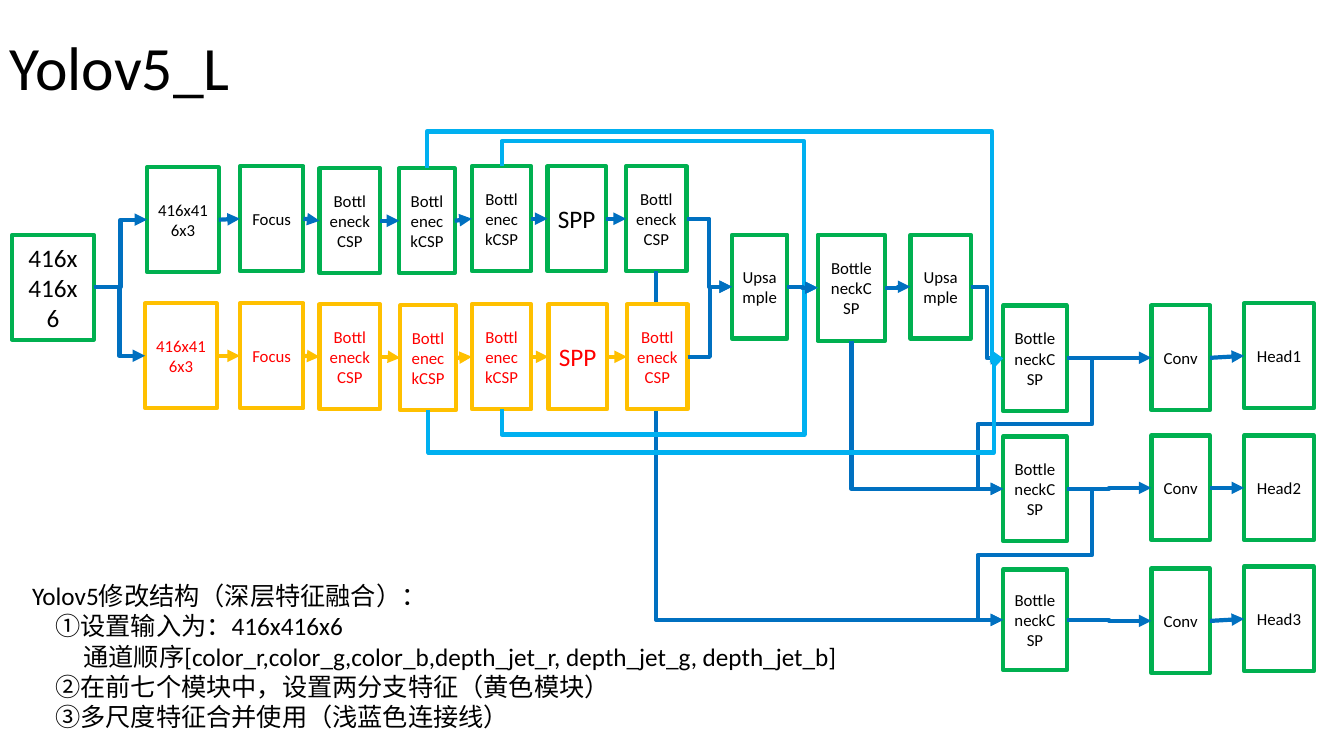
"""Build the Yolov5_L two-branch network diagram slide."""
import pptx
import pptx.util
import pptx.dml.color
import pptx.enum.shapes
import pptx.enum.text
import pptx.oxml.ns
import lxml.etree

PX = 9144
RGBColor = pptx.dml.color.RGBColor
BLACK = RGBColor(0x00, 0x00, 0x00)
WHITE = RGBColor(0xFF, 0xFF, 0xFF)
RED = RGBColor(0xFF, 0x00, 0x00)
GREEN = RGBColor(0x00, 0xB0, 0x50)
YELLOW = RGBColor(0xFF, 0xC0, 0x00)
BLUE = RGBColor(0x00, 0x70, 0xC0)
SKY = RGBColor(0x00, 0xB0, 0xF0)
TOP, LEFT, BOTTOM, RIGHT = range(4)
STRAIGHT, ELBOW2, ELBOW3, ELBOW4, ELBOW5 = (
    "straightConnector1", "bentConnector2", "bentConnector3", "bentConnector4", "bentConnector5")
DOWNWARD = {"rot": "16200000", "flipH": "1", "flipV": "0"}
UPWARD = {"rot": "5400000", "flipH": "1", "flipV": "1"}
LINE_WIDTH = pptx.util.Pt(3)
MIDDLE = pptx.enum.text.MSO_ANCHOR.MIDDLE

deck = pptx.Presentation()
deck.slide_width, deck.slide_height = 1333 * PX, 750 * PX
page = deck.slides.add_slide(deck.slide_layouts[6])
boxes = {}


def add_box(name, text, place, size, line_color=GREEN, text_color=BLACK):
    box = page.shapes.add_shape(
        pptx.enum.shapes.MSO_SHAPE.RECTANGLE, *[length * PX for length in place])
    box.shadow.inherit = False
    box.fill.solid()
    box.fill.fore_color.rgb = WHITE
    box.line.color.rgb = line_color
    box.line.width = LINE_WIDTH
    box.text_frame.word_wrap = True
    box.text_frame.vertical_anchor = MIDDLE
    para = box.text_frame.paragraphs[0]
    para.alignment = pptx.enum.text.PP_ALIGN.CENTER
    span = para.add_run()
    span.text = text
    for key, value in {"name": "Calibri", "size": pptx.util.Pt(size)}.items():
        setattr(span.font, key, value)
    span.font.color.rgb = text_color
    boxes[name] = box


def add_link(start, end, preset=ELBOW3, color=BLUE, site=RIGHT, turn=None, adjusts=()):
    link = page.shapes.add_connector(pptx.enum.shapes.MSO_CONNECTOR.ELBOW, 0, 0, 0, 0)
    link.begin_connect(boxes[start], site)
    link.end_connect(boxes[end], LEFT)
    link.line.color.rgb = color
    link.line.width = LINE_WIDTH
    properties = link._element.spPr
    if turn:
        center_x = link.left + link.width // 2
        center_y = link.top + link.height // 2
        width, height = link.height, link.width
        frame = {"left": center_x - width // 2, "top": center_y - height // 2,
                 "width": width, "height": height}
        for key, value in frame.items():
            setattr(link, key, value)
        for key, value in turn.items():
            properties.find(pptx.oxml.ns.qn("a:xfrm")).set(key, value)
    geometry = properties.find(pptx.oxml.ns.qn("a:prstGeom"))
    geometry.set("prst", preset)
    guides = geometry.find(pptx.oxml.ns.qn("a:avLst"))
    for number, adjust in enumerate(adjusts, 1):
        lxml.etree.SubElement(guides, pptx.oxml.ns.qn("a:gd"),
                              name=f"adj{number}", fmla=f"val {adjust}")
    outline = properties.find(pptx.oxml.ns.qn("a:ln"))
    lxml.etree.SubElement(outline, pptx.oxml.ns.qn("a:tailEnd"), type="triangle")
    lxml.etree.SubElement(properties, pptx.oxml.ns.qn("a:effectLst"))


title = page.shapes.add_textbox(0, -3 * PX, 1150 * PX, 145 * PX)
for key, value in {"word_wrap": True, "vertical_anchor": MIDDLE}.items():
    setattr(title.text_frame, key, value)
para = title.text_frame.paragraphs[0]
para.line_spacing = 0.9
span = para.add_run()
span.text = "Yolov5_L"
for key, value in {"name": "Calibri", "size": pptx.util.Pt(44)}.items():
    setattr(span.font, key, value)
span.font.color.rgb = BLACK

BRANCH = [
    ("416x416x3", 12, 71, (146, 166), (144, 301)),
    ("Focus", 12, 63, (238, 165), (238, 301)),
    ("BottleneckCSP", 12, 60, (317, 167), (317, 302)),
    ("BottleneckCSP", 12, 55, (396, 167), (397, 303)),
    ("BottleneckCSP", 12, 59, (468, 165), (468, 302)),
    ("SPP", 18, 58, (543, 165), (544, 302)),
    ("BottleneckCSP", 12, 60, (621, 165), (622, 302)),
]
LAST = len(BRANCH) - 1

add_box("input", "416x416x6", (12, 233, 81, 104), 18)
for column, (text, size, width, color_at, depth_at) in enumerate(BRANCH):
    add_box(f"color{column}", text, (*color_at, width, 104), size)
add_box("upsample1", "Upsample", (726, 233, 55, 103), 12)
add_box("merge", "BottleneckCSP", (811, 233, 67, 105), 12)
add_box("upsample2", "Upsample", (903, 233, 60, 103), 12)
HEADS = [(303, 105, 303, 301), (433, 104, 432, 432), (565, 100, 564, 562)]
for number, (neck_top, neck_height, conv_top, head_top) in enumerate(HEADS, 1):
    add_box(f"neck{number}", "BottleneckCSP", (995, neck_top, 63, neck_height), 12)
    add_box(f"conv{number}", "Conv", (1142, conv_top, 58, 104), 12)
    add_box(f"head{number}", f"Head{number}", (1234, head_top, 69, 104), 12)

add_link(f"color{LAST}", "neck3", ELBOW2, site=BOTTOM, turn=DOWNWARD)
for column, (text, size, width, color_at, depth_at) in enumerate(BRANCH):
    add_box(f"depth{column}", text, (*depth_at, width, 104), size, YELLOW, RED)

for branch, color in [("color", BLUE), ("depth", YELLOW)]:
    add_link("input", f"{branch}0")
    for column in range(LAST):
        preset = ELBOW3 if column == 2 else STRAIGHT
        add_link(f"{branch}{column}", f"{branch}{column + 1}", preset, color)
    add_link(f"{branch}{LAST}", "upsample1")
add_link("merge", "upsample2")
add_link("upsample2", "neck1")
add_link("merge", "neck2", ELBOW2, site=BOTTOM, turn=DOWNWARD)
for number in range(1, 4):
    add_link(f"neck{number}", f"conv{number}")
    add_link(f"conv{number}", f"head{number}", STRAIGHT)
for number in range(1, 3):
    add_link(f"neck{number}", f"neck{number + 1}", ELBOW5, adjusts=(-40000, 50400, 140000))

SKIPS = [
    ("color4", "merge", TOP, DOWNWARD, (-20700, 95700)),
    ("depth4", "merge", BOTTOM, UPWARD, (-20900, 95800)),
    ("depth3", "neck1", BOTTOM, UPWARD, (-81400, 98400)),
    ("color3", "neck1", TOP, DOWNWARD, (-19400, 98100)),
]
for start, end, site, turn, adjusts in SKIPS:
    add_link(start, end, ELBOW4, SKY, site, turn, adjusts)
add_link("upsample1", "merge")

NOTES = [
    ("Yolov5修改结构（深层特征融合）：", 0),
    ("①设置输入为：416x416x6", 23),
    ("通道顺序[color_r,color_g,color_b,depth_jet_r, depth_jet_g, depth_jet_b]", 51),
    ("②在前七个模块中，设置两分支特征（黄色模块）", 23),
    ("③多尺度特征合并使用（浅蓝色连接线）", 23),
]
notes = page.shapes.add_textbox(22 * PX, 571 * PX, 833 * PX, 162 * PX)
notes_format = {"word_wrap": True, "auto_size": pptx.enum.text.MSO_AUTO_SIZE.SHAPE_TO_FIT_TEXT}
for key, value in notes_format.items():
    setattr(notes.text_frame, key, value)
for index, (text, margin) in enumerate(NOTES):
    para = notes.text_frame.add_paragraph() if index else notes.text_frame.paragraphs[0]
    para._p.get_or_add_pPr().set("marL", str(margin * PX))
    span = para.add_run()
    span.text = text
    for key, value in {"name": "Calibri", "size": pptx.util.Pt(18)}.items():
        setattr(span.font, key, value)
    span.font.color.rgb = BLACK

deck.save("out.pptx")
